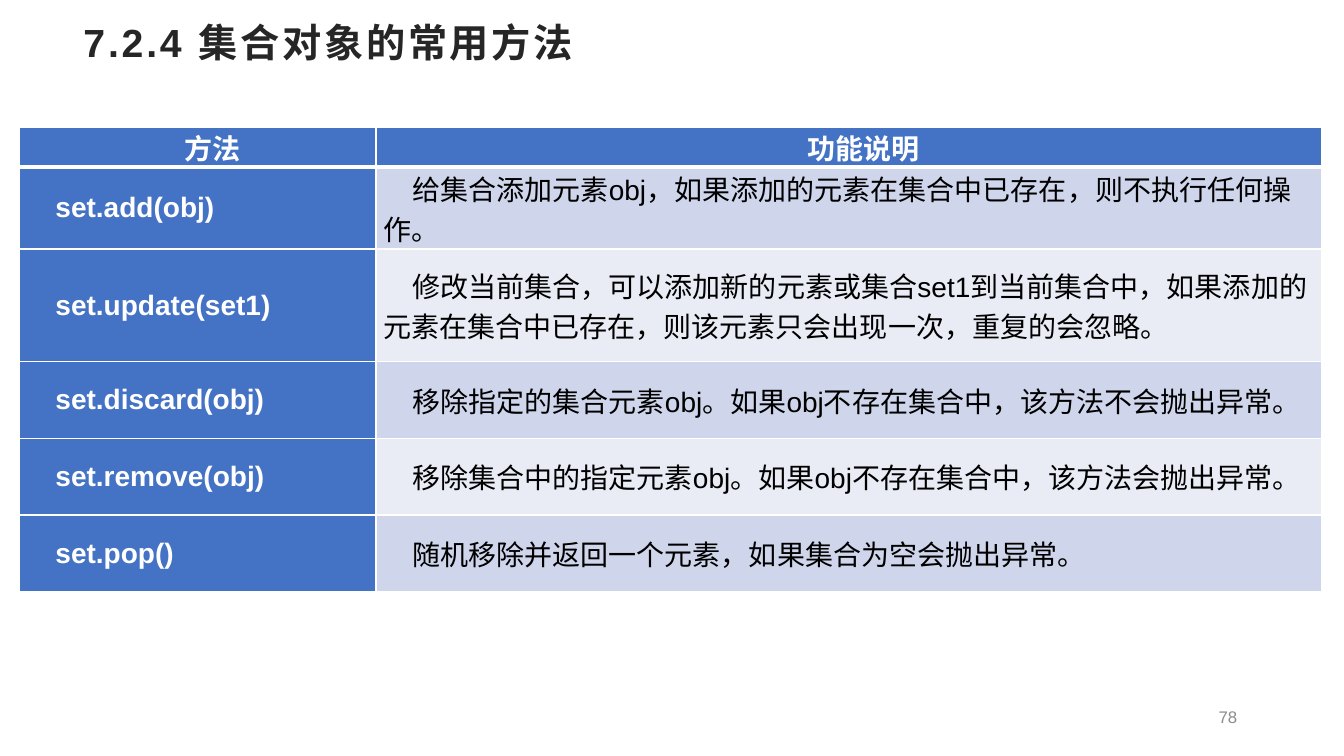
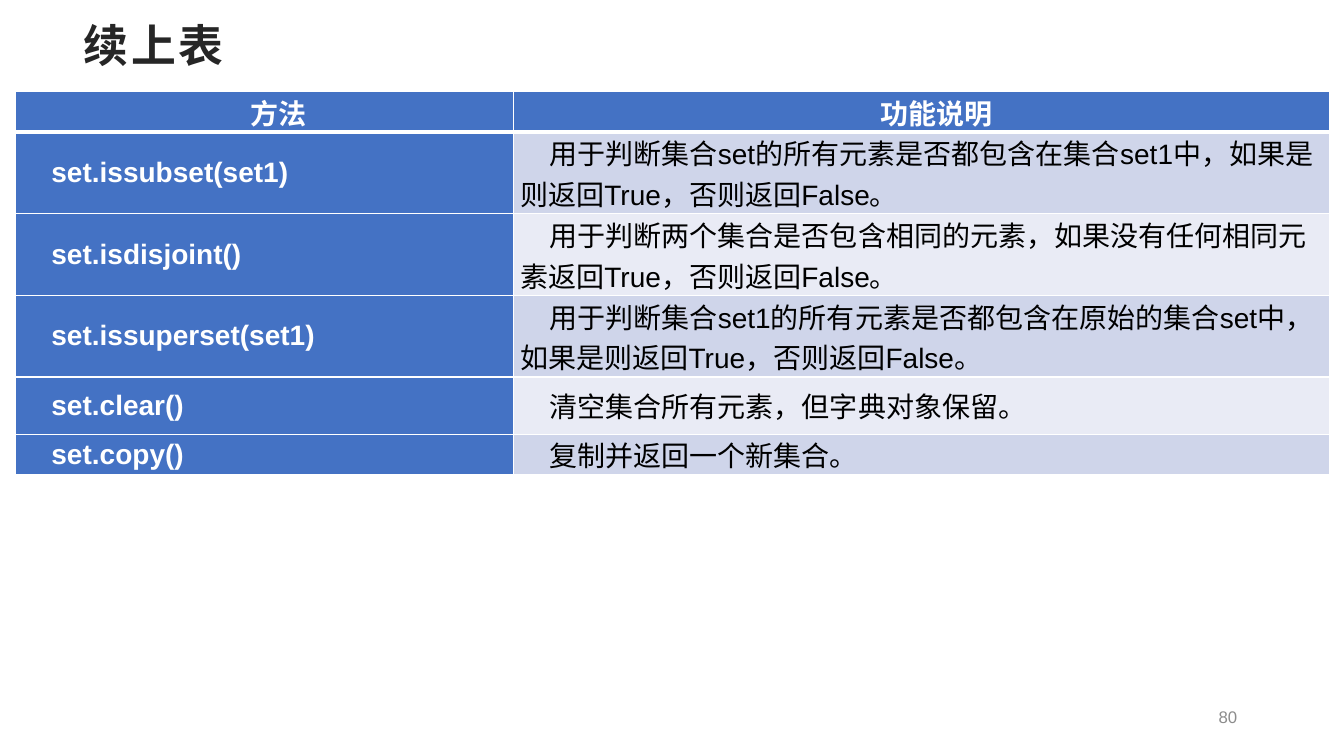
"""Build two slides of set method tables."""
from lxml.etree import SubElement
from pptx import Presentation
from pptx.dml.color import RGBColor
from pptx.enum.lang import MSO_LANGUAGE_ID
from pptx.enum.text import MSO_ANCHOR, PP_ALIGN
from pptx.oxml.ns import qn
from pptx.util import Inches, Pt

COLORS = {
    "title": "262626", "number": "8C8C8C", "text": "000000", "white": "FFFFFF",
    "blue": "4472C4", "odd": "CFD5EA", "even": "E9EBF5",
}
HEADER = ("方法", "功能说明")
PAGES = [
    {
        "title": "7.2.4 集合对象的常用方法", "title_size": 28, "number": "78",
        "left": 0.19, "top": 1.26, "columns": (3.54, 9.38),
        "heights": (0.4, 0.81, 1.12, 0.76, 0.76, 0.76),
        "methods": [
            ("set.add(obj)", "给集合添加元素obj，如果添加的元素在集合中已存在，则不执行任何操作。"),
            ("set.update(set1)", "修改当前集合，可以添加新的元素或集合set1到当前集合中，"
             "如果添加的元素在集合中已存在，则该元素只会出现一次，重复的会忽略。"),
            ("set.discard(obj)", "移除指定的集合元素obj。如果obj不存在集合中，该方法不会抛出异常。"),
            ("set.remove(obj)", "移除集合中的指定元素obj。如果obj不存在集合中，该方法会抛出异常。"),
            ("set.pop()", "随机移除并返回一个元素，如果集合为空会抛出异常。"),
        ],
    },
    {
        "title": "续上表", "title_size": 32, "number": "80",
        "left": 0.15, "top": 0.91, "columns": (4.94, 8.1),
        "heights": (0.4, 0.81, 0.81, 0.81, 0.57, 0.4),
        "methods": [
            ("set.issubset(set1)", "用于判断集合set的所有元素是否都包含在集合set1中，"
             "如果是则返回True，否则返回False。"),
            ("set.isdisjoint()", "用于判断两个集合是否包含相同的元素，"
             "如果没有任何相同元素返回True，否则返回False。"),
            ("set.issuperset(set1)", "用于判断集合set1的所有元素是否都包含在原始的集合set中，"
             "如果是则返回True，否则返回False。"),
            ("set.clear()", "清空集合所有元素，但字典对象保留。"),
            ("set.copy()", "复制并返回一个新集合。"),
        ],
    },
]


def write(frame, text, size=20, color="text", bold=False, align=PP_ALIGN.LEFT,
          indent=0, tracking=0):
    frame.word_wrap = True
    para = frame.paragraphs[0]
    para.alignment = align
    para._p.get_or_add_pPr().set("indent", str(Inches(indent)))
    span = para.add_run()
    span.text = text
    span.font.name = "Arial"
    span.font.size = Pt(size)
    span.font.bold = bold
    span.font.color.rgb = RGBColor.from_string(COLORS[color])
    span.font.language_id = MSO_LANGUAGE_ID.SIMPLIFIED_CHINESE
    span._r.get_or_add_rPr().set("spc", str(tracking * 100))


def add_borders(cell, **widths):
    properties = cell._tc.get_or_add_tcPr()
    for side in "LRTB":
        line = SubElement(properties, qn(f"a:ln{side}"), w=str(Pt(widths.get(side, 1))))
        fill = SubElement(line, qn("a:solidFill"))
        SubElement(fill, qn("a:srgbClr"), val=COLORS["white"])


deck = Presentation()
deck.slide_width = Inches(13.33)
deck.slide_height = Inches(7.5)

for content in PAGES:
    page = deck.slides.add_slide(deck.slide_layouts[6])

    title = page.shapes.add_textbox(Inches(0.73), Inches(0.13), Inches(11.87), Inches(0.78))
    write(title.text_frame, content["title"], size=content["title_size"], color="title",
          bold=True, tracking=2)

    rows = [HEADER, *content["methods"]]
    columns, heights = content["columns"], content["heights"]
    table = page.shapes.add_table(
        len(rows), len(columns), Inches(content["left"]), Inches(content["top"]),
        Inches(sum(columns)), Inches(sum(heights))).table
    for column, width in zip(table.columns, columns):
        column.width = Inches(width)
    for row, height in zip(table.rows, heights):
        row.height = Inches(height)

    for row_index, texts in enumerate(rows):
        for column_index, text in enumerate(texts):
            cell = table.cell(row_index, column_index)
            is_header = row_index == 0
            strong = is_header or column_index == 0
            cell.vertical_anchor = MSO_ANCHOR.MIDDLE
            cell.margin_left = cell.margin_right = Inches(0.07)
            cell.margin_top = cell.margin_bottom = 0
            add_borders(cell, T=3 if row_index == 1 else 1, B=3 if is_header else 1)
            band = "blue" if strong else "odd" if row_index % 2 else "even"
            cell.fill.solid()
            cell.fill.fore_color.rgb = RGBColor.from_string(COLORS[band])
            write(cell.text_frame, text, color="white" if strong else "text", bold=strong,
                  align=PP_ALIGN.CENTER if is_header else PP_ALIGN.LEFT, indent=0.29)

    number = page.shapes.add_textbox(Inches(9.42), Inches(6.94), Inches(2.95), Inches(0.35))
    number.text_frame.vertical_anchor = MSO_ANCHOR.MIDDLE
    write(number.text_frame, content["number"], size=12, color="number", align=PP_ALIGN.RIGHT)

deck.save("out.pptx")
